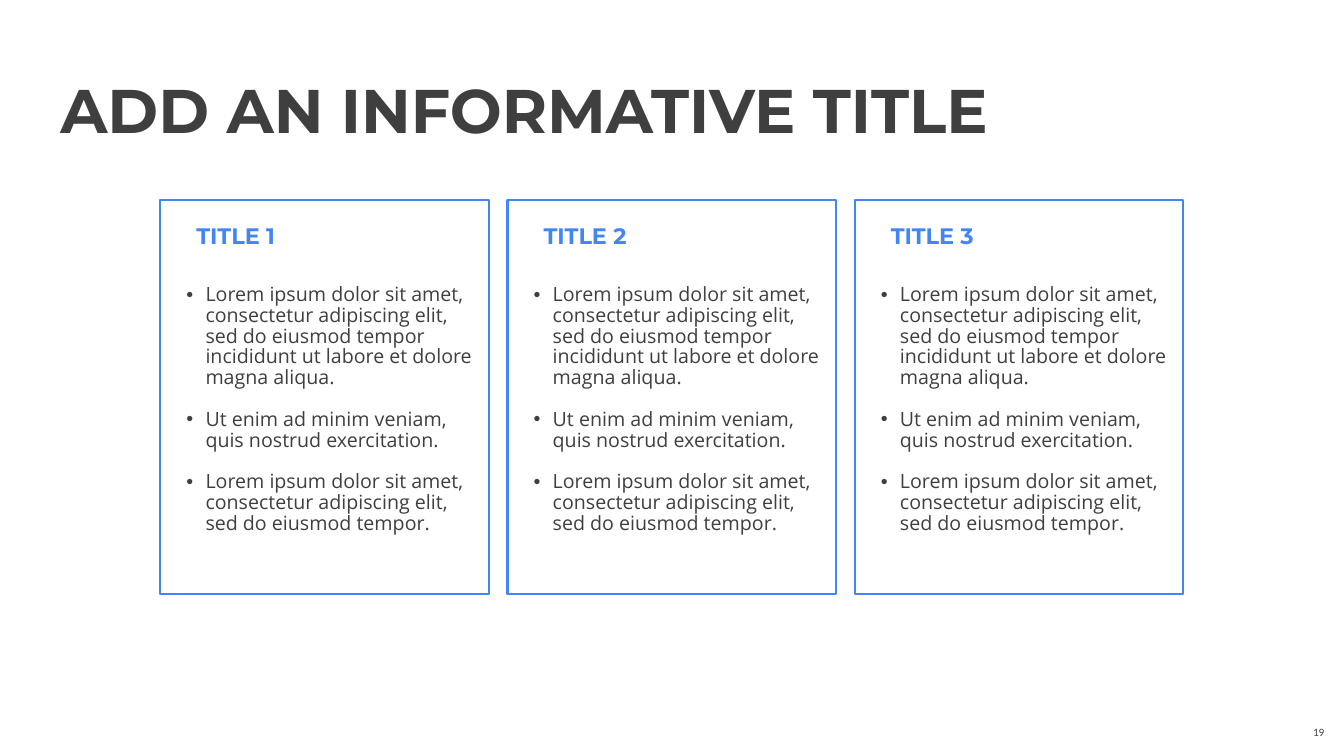
from lxml import etree
from pptx import Presentation
from pptx.dml.color import RGBColor
from pptx.enum.shapes import MSO_SHAPE as SHAPE
from pptx.enum.text import MSO_ANCHOR as ANCHOR
from pptx.oxml.ns import qn
from pptx.util import Cm, Pt

TITLE = "ADD AN INFORMATIVE TITLE"
PAGE = "19"
POINTS = [
    "Lorem ipsum dolor sit amet, consectetur adipiscing elit, sed do eiusmod "
    "tempor incididunt ut labore et dolore magna aliqua.",
    "Ut enim ad minim veniam, quis nostrud exercitation.",
    "Lorem ipsum dolor sit amet, consectetur adipiscing elit, sed do eiusmod tempor.",
]
CARDS = [("TITLE 1", POINTS), ("TITLE 2", POINTS), ("TITLE 3", POINTS)]

GREY, BLUE = "3F3F3F", "4285F4"
HEADLINE = dict(name="Montserrat", size=Pt(44), bold=True, color=GREY)
CARD_TITLE = dict(name="Montserrat", size=Pt(16), bold=True, color=BLUE)
BODY = dict(name="Open Sans", size=Pt(14), color=GREY)
PAGE_NUMBER = dict(name="Calibri", size=Pt(8), color=GREY)

# Centimetres
CARD_LEFT, CARD_TOP, CARD_W, CARD_H = 4.04, 5.05, 8.28, 9.93
CARD_PITCH = 8.75


def rgb(value):
    return RGBColor.from_string(value)


def set_indent(p, left, hanging=0, bullet=None):
    """Indent a paragraph by centimetres, with an optional bullet sign."""
    pPr = p._p.get_or_add_pPr()
    pPr.set("marL", str(Cm(left)))
    pPr.set("indent", str(Cm(-hanging)))
    if bullet:
        color = etree.SubElement(pPr, qn("a:buClr"))
        etree.SubElement(color, qn("a:srgbClr"), val=GREY)
        etree.SubElement(pPr, qn("a:buFont"), typeface="Arial")
        etree.SubElement(pPr, qn("a:buChar"), char=bullet)


def add_text(s, box, lines, style, inset=(0.25, 0.13), anchor=ANCHOR.TOP):
    tf = s.shapes.add_textbox(*map(Cm, box)).text_frame
    tf.word_wrap = True
    tf.vertical_anchor = anchor
    tf.margin_left = tf.margin_right = Cm(inset[0])
    tf.margin_top = tf.margin_bottom = Cm(inset[1])
    for i, line in enumerate(lines):
        p = tf.add_paragraph() if i else tf.paragraphs[0]
        r = p.add_run()
        r.text = line
        for key, value in style.items():
            if key == "color":
                r.font.color.rgb = rgb(value)
            else:
                setattr(r.font, key, value)
    return tf.paragraphs


def add_card(s, left, title, points):
    frame = s.shapes.add_shape(
        SHAPE.RECTANGLE, *map(Cm, (left, CARD_TOP, CARD_W, CARD_H)))
    frame.shadow.inherit = False
    frame.fill.background()
    frame.line.color.rgb = rgb(BLUE)
    frame.line.width = Pt(1.5)

    heading = add_text(s, (left + 0.36, CARD_TOP + 0.41, 5.13, 0.94), [title], CARD_TITLE)
    set_indent(heading[0], 0.3)

    body = add_text(s, (left + 0.08, CARD_TOP + 2.01, 8.1, 7.32), points, BODY)
    for i, p in enumerate(body):
        set_indent(p, 0.81, 0.48, "•")
        p.line_spacing = 0.88
        if i:
            p.space_before = Pt(15)


def main():
    prs = Presentation()
    prs.slide_width, prs.slide_height = Cm(33.87), Cm(19.05)
    s = prs.slides.add_slide(prs.slide_layouts[6])
    add_text(s, (1.19, 1.4, 28.65, 2.69), [TITLE], HEADLINE, (0.33, 0.33), ANCHOR.MIDDLE)
    for i, (title, points) in enumerate(CARDS):
        add_card(s, CARD_LEFT + i * CARD_PITCH, title, points)
    add_text(s, (32.84, 18.16, 1.02, 0.8), [PAGE], PAGE_NUMBER)
    prs.save("out.pptx")


if __name__ == "__main__":
    main()
